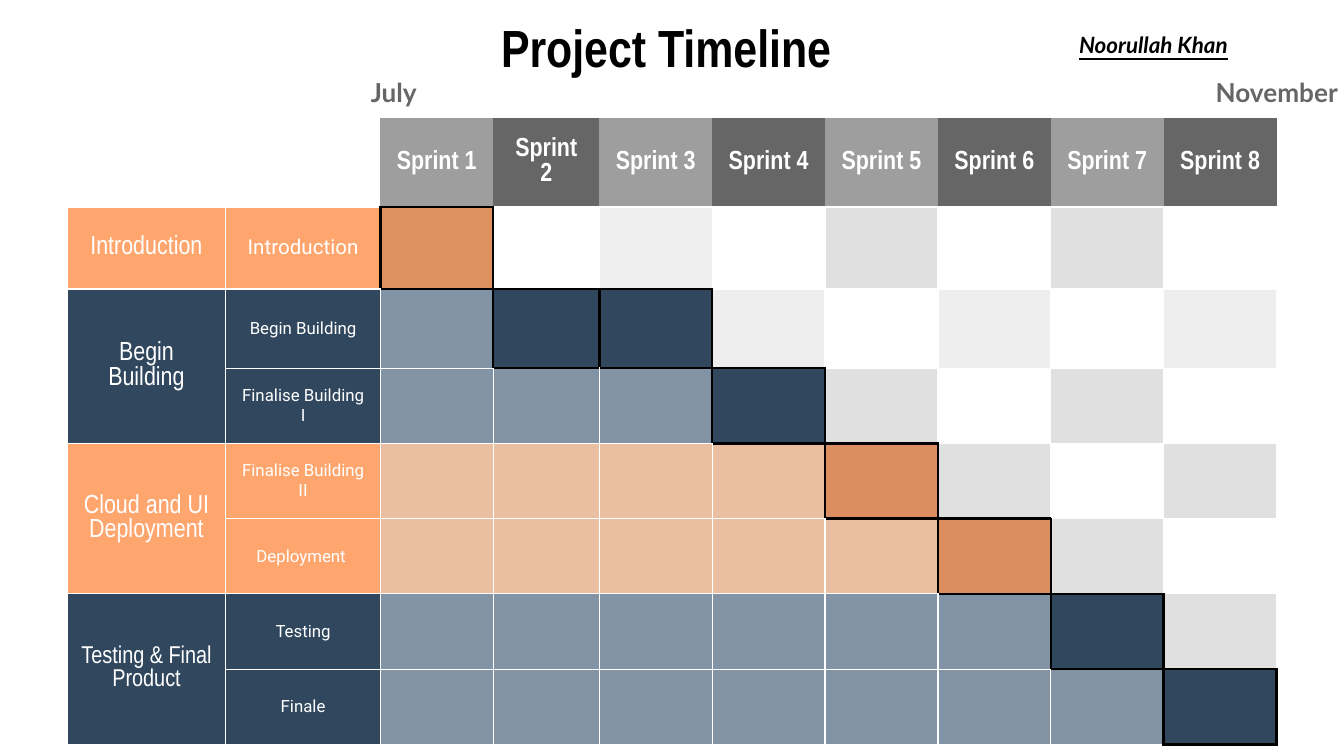
import lxml.etree
import pptx
import pptx.dml.color
import pptx.enum.text
import pptx.oxml.ns
import pptx.util

Inches = pptx.util.Inches
Align = pptx.enum.text.PP_ALIGN
Anchor = pptx.enum.text.MSO_ANCHOR

COLORS = {
    "white": "FFFFFF", "black": "000000", "gray": "9E9E9E", "dark": "666666",
    "orange": "FFA66F", "peach": "EABEA0", "intro": "DD915E", "rust": "DC8E60",
    "navy": "30475E", "steel": "8293A5",
    "mist": "EFEFEF", "pale": "EEEEEE", "silver": "E0E0E0",
}
SPRINTS = [f"Sprint {number}" for number in range(1, 9)]
PHASES = [
    ("Introduction", 14, 1, "orange"),
    ("Begin Building", 14, 2, "navy"),
    ("Cloud and UI Deployment", 14, 2, "orange"),
    ("Testing & Final Product", 13, 2, "navy"),
]
TASKS = [
    ("Introduction", 11, "orange", "peach", "intro", [1],
     ["white", "mist", "white", "silver", "white", "silver", "white"]),
    ("Begin Building", 9, "navy", "steel", "navy", [2, 3],
     ["pale", "white", "pale", "white", "pale"]),
    ("Finalise Building I", 9, "navy", "steel", "navy", [4],
     ["silver", "white", "silver", "white"]),
    ("Finalise Building II", 9, "orange", "peach", "rust", [5],
     ["silver", "white", "silver"]),
    ("Deployment ", 9, "orange", "peach", "rust", [6], ["silver", "white"]),
    ("Testing", 9, "navy", "steel", "navy", [7], ["silver"]),
    ("Finale", 9, "navy", "steel", "navy", [8], []),
]
LABELS = [
    ("Project Timeline ", (0.5, 0.14, 9, 0.41), "Arial Narrow", 28, "black",
     Align.CENTER, Anchor.MIDDLE),
    ("November", (8.9, 0.47, 1.2, 0.41), "Lato", 14, "dark", Align.CENTER, Anchor.TOP),
    ("July", (2.33, 0.47, 1.2, 0.41), "Lato", 14, "dark", Align.CENTER, Anchor.TOP),
    ("Noorullah Khan", (7.93, 0.1, 1.41, 0.4), "Lato", 12, "black", Align.LEFT, Anchor.TOP),
]
COLUMN_WIDTHS = [1.18, 1.15, 0.84, 0.79] + [0.84] * 6
ROW_HEIGHTS = [0.66, 0.61, 0.59, 0.56, 0.56, 0.56, 0.56, 0.56]
SIDES = [("lnL", 0, -1), ("lnR", 0, 1), ("lnT", -1, 0), ("lnB", 1, 0)]


def rgb(name):
    return pptx.dml.color.RGBColor.from_string(COLORS[name])


def write(frame, text, font, size, color, align, bold=False):
    para = frame.paragraphs[0]
    para.alignment = align
    span = para.add_run()
    span.text = text
    span.font.name = font
    span.font.size = pptx.util.Pt(size)
    span.font.bold = bold
    span.font.color.rgb = rgb(color)
    return span


def fill_cell(cell, color):
    cell.fill.solid()
    cell.fill.fore_color.rgb = rgb(color)


def fill_label(cell, text, font, size, color, bold=False):
    fill_cell(cell, color)
    write(cell.text_frame, text, font, size, "white", Align.CENTER, bold)


def add_borders(cell, row, column, active):
    properties = cell._tc.get_or_add_tcPr()
    for index, (side, down, right) in enumerate(SIDES):
        strong = (row, column) in active or (row + down, column + right) in active
        width = pptx.util.Pt(1.5 if strong else 0.75)
        line = lxml.etree.Element(pptx.oxml.ns.qn(f"a:{side}"), w=str(int(width)))
        if row == 0 and side != "lnB":
            lxml.etree.SubElement(line, pptx.oxml.ns.qn("a:noFill"))
        else:
            solid = lxml.etree.SubElement(line, pptx.oxml.ns.qn("a:solidFill"))
            lxml.etree.SubElement(solid, pptx.oxml.ns.qn("a:srgbClr"),
                                  val=COLORS["black" if strong else "white"])
        properties.insert(index, line)


def add_timeline(page):
    table = page.shapes.add_table(
        len(ROW_HEIGHTS), len(COLUMN_WIDTHS), Inches(0.5), Inches(0.88),
        Inches(sum(COLUMN_WIDTHS)), Inches(sum(ROW_HEIGHTS))).table
    table.first_row = table.horz_banding = False
    for column, width in zip(table.columns, COLUMN_WIDTHS):
        column.width = Inches(width)
    for row, height in zip(table.rows, ROW_HEIGHTS):
        row.height = Inches(height)
    for cell in table.iter_cells():
        cell.vertical_anchor = Anchor.MIDDLE
        cell.margin_left = cell.margin_right = Inches(0.1)
        cell.margin_top = cell.margin_bottom = Inches(0.1)
        cell.fill.background()

    for index, sprint in enumerate(SPRINTS):
        fill_label(table.cell(0, index + 2), sprint, "Arial Narrow", 14,
                   ("gray", "dark")[index % 2], True)

    active = set()
    for row, (task, size, color, done, current, sprints, ahead) in enumerate(TASKS, 1):
        fill_label(table.cell(row, 1), task, "Roboto", size, color)
        fills = [done] * (sprints[0] - 1) + [current] * len(sprints) + ahead
        for column, shade in enumerate(fills, 2):
            fill_cell(table.cell(row, column), shade)
        active.update((row, sprint + 1) for sprint in sprints)

    for row in range(len(ROW_HEIGHTS)):
        for column in range(len(COLUMN_WIDTHS)):
            add_borders(table.cell(row, column), row, column, active)

    table.cell(0, 0).merge(table.cell(0, 1))
    row = 1
    for phase, size, span, color in PHASES:
        fill_label(table.cell(row, 0), phase, "Arial Narrow", size, color)
        if span > 1:
            table.cell(row, 0).merge(table.cell(row + span - 1, 0))
        row += span


def add_label(page, text, place, font, size, color, align, anchor):
    box = page.shapes.add_textbox(*map(Inches, place))
    frame = box.text_frame
    frame.word_wrap = True
    frame.vertical_anchor = anchor
    frame.margin_left = frame.margin_right = Inches(0.1)
    frame.margin_top = frame.margin_bottom = Inches(0.1)
    return write(frame, text, font, size, color, align, True), frame


def main():
    deck = pptx.Presentation()
    deck.slide_width = Inches(10)
    deck.slide_height = Inches(10 * 9 / 16)
    page = deck.slides.add_slide(deck.slide_layouts[6])
    add_timeline(page)
    for label in LABELS:
        span, frame = add_label(page, *label)
    span.font.italic = span.font.underline = True
    frame.paragraphs[0].line_spacing = 1.15
    deck.save("out.pptx")


if __name__ == "__main__":
    main()
